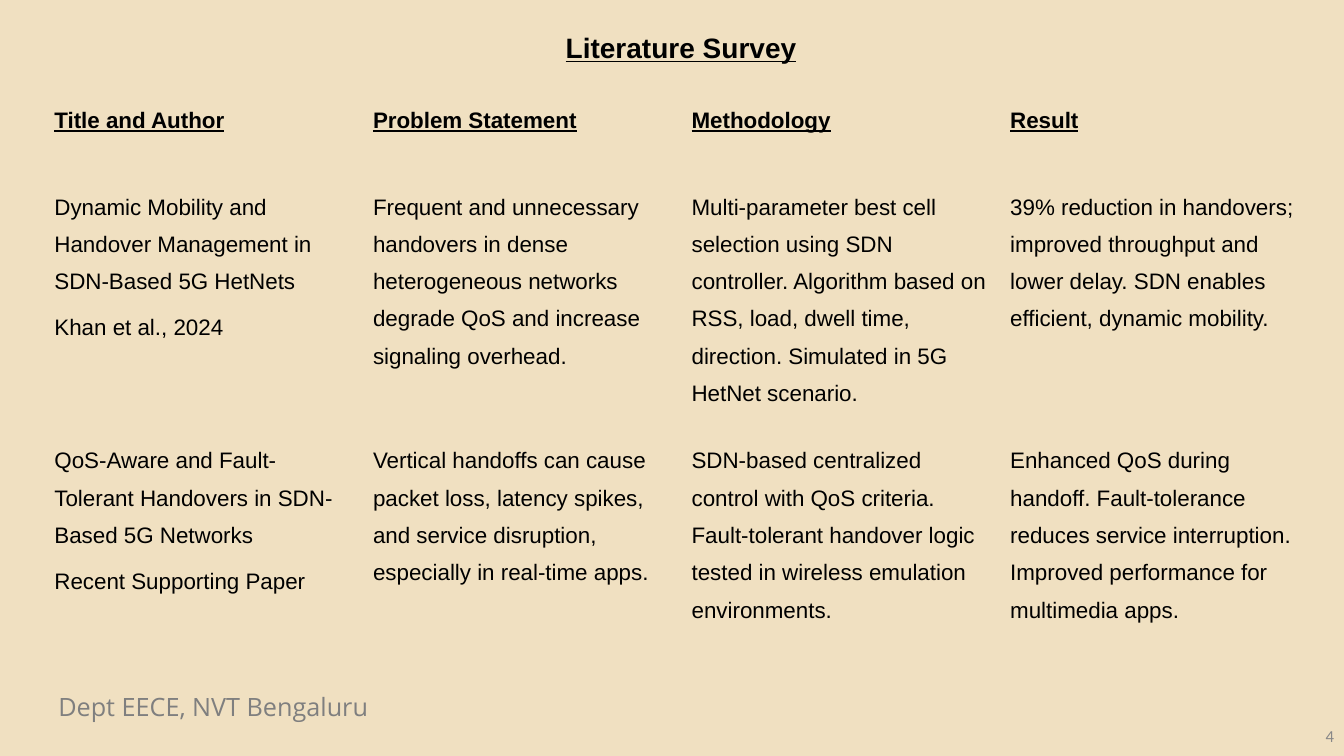
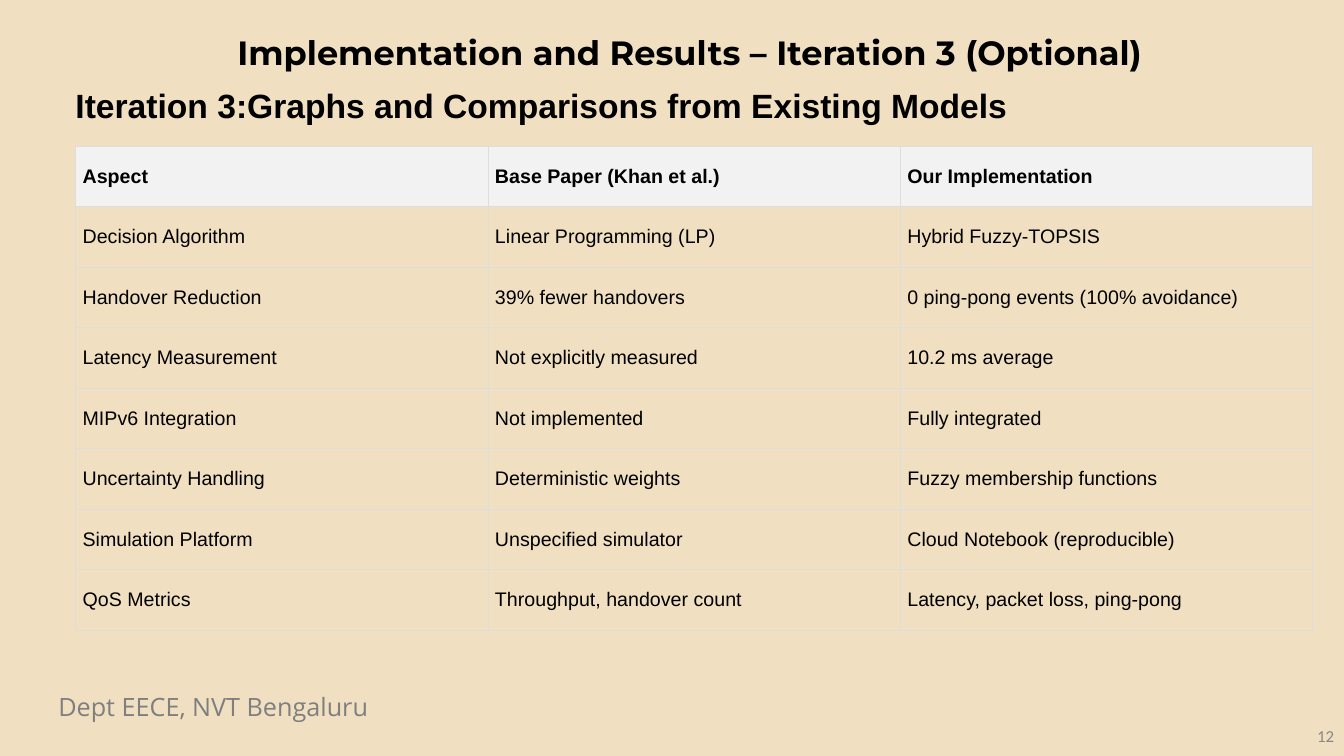
from lxml.etree import SubElement
from pptx import Presentation
from pptx.dml.color import RGBColor
from pptx.enum.text import MSO_ANCHOR as Anchor, MSO_AUTO_SIZE as AutoSize, PP_ALIGN as Align
from pptx.oxml.ns import qn
from pptx.util import Inches, Pt

COLORS = {
    "background": "F0E0C1",
    "text": "000000",
    "footer": "7F7F7F",
    "number": "888888",
    "header": "F2F2F2",
    "border": "DDDDDD",
}
BODY_FONT = "Arial"
PLAIN_TABLE_STYLE = "{2D5ABB26-0587-4C30-8999-92F81FD0307C}"
FOOTER_TEXT = "Dept EECE, NVT Bengaluru"

FOOTER = {"name": "Open Sans", "size": Pt(18)}
NUMBER = {"name": "Calibri", "size": Pt(12)}
SURVEY_TITLE = {"name": BODY_FONT, "size": Pt(20), "bold": True, "underline": True}
RESULTS_TITLE = {"name": "Montserrat", "size": Pt(24), "bold": True}
SUBTITLE = {"name": BODY_FONT, "size": Pt(24), "bold": True}

SURVEY_TABLE = {
    "size": Pt(16),
    "underline_header": True,
    "margins": (0.11, 0.06),
    "anchor": Anchor.TOP,
    "paragraph": {"line_spacing": 1.5, "space_after": Pt(6)},
    "header_fill": None,
    "border": None,
}
RESULTS_TABLE = {
    "size": Pt(14),
    "underline_header": False,
    "margins": (0.07, 0.07),
    "anchor": Anchor.MIDDLE,
    "paragraph": {},
    "header_fill": "header",
    "border": "border",
}

SURVEY_ROWS = [
    ["Title and Author", "Problem Statement", "Methodology", "Result"],
    [
        "Dynamic Mobility and Handover Management in SDN-Based 5G HetNets\nKhan et al., 2024",
        "Frequent and unnecessary handovers in dense heterogeneous networks degrade QoS "
        "and increase signaling overhead.",
        "Multi-parameter best cell selection using SDN controller. Algorithm based on RSS, "
        "load, dwell time, direction. Simulated in 5G HetNet scenario.",
        "39% reduction in handovers; improved throughput and lower delay. SDN enables "
        "efficient, dynamic mobility.",
    ],
    [
        "QoS-Aware and Fault-Tolerant Handovers in SDN-Based 5G Networks\nRecent Supporting Paper",
        "Vertical handoffs can cause packet loss, latency spikes, and service disruption, "
        "especially in real-time apps.",
        "SDN-based centralized control with QoS criteria. Fault-tolerant handover logic "
        "tested in wireless emulation environments.",
        "Enhanced QoS during handoff. Fault-tolerance reduces service interruption. "
        "Improved performance for multimedia apps.",
    ],
]
RESULTS_ROWS = [
    ["Aspect", "Base Paper (Khan et al.)", "Our Implementation"],
    ["Decision Algorithm", "Linear Programming (LP)", "Hybrid Fuzzy-TOPSIS"],
    ["Handover Reduction", "39% fewer handovers", "0 ping-pong events (100% avoidance)"],
    ["Latency Measurement", "Not explicitly measured", "10.2 ms average"],
    ["MIPv6 Integration", "Not implemented", "Fully integrated"],
    ["Uncertainty Handling", "Deterministic weights", "Fuzzy membership functions"],
    ["Simulation Platform", "Unspecified simulator", "Cloud Notebook (reproducible)"],
    ["QoS Metrics", "Throughput, handover count", "Latency, packet loss, ping-pong"],
]


def set_attributes(target, values):
    for name, value in values.items():
        setattr(target, name, value)


def write_text(frame, text, font, color="text", paragraph_format=None):
    frame.text = text
    for paragraph in frame.paragraphs:
        set_attributes(paragraph, paragraph_format or {})
        for run in paragraph.runs:
            set_attributes(run.font, font)
            run.font.color.rgb = RGBColor.from_string(COLORS[color])


def place(shape, box):
    names = ("left", "top", "width", "height")
    set_attributes(shape, {name: Inches(value) for name, value in zip(names, box)})


def add_title(slide, text, box, font):
    title = slide.shapes.title
    place(title, box)
    set_attributes(title.text_frame, {
        "word_wrap": True, "auto_size": AutoSize.NONE, "vertical_anchor": Anchor.MIDDLE,
    })
    write_text(title.text_frame, text, font, paragraph_format={"alignment": Align.CENTER})


def add_text(slide, text, box, font, color="text", align=Align.LEFT, anchor=Anchor.TOP):
    shape = slide.shapes.add_textbox(*map(Inches, box))
    set_attributes(shape.text_frame, {"word_wrap": True, "vertical_anchor": anchor})
    write_text(shape.text_frame, text, font, color, {"alignment": align})


def add_borders(cell, color):
    properties = cell._tc.get_or_add_tcPr()
    for index, side in enumerate(("a:lnL", "a:lnR", "a:lnT", "a:lnB")):
        line = SubElement(properties, qn(side), w=str(Pt(0.6)))
        fill = SubElement(line, qn("a:solidFill"))
        SubElement(fill, qn("a:srgbClr"), val=COLORS[color])
        properties.insert(index, line)


def format_cell(cell, text, is_header, style):
    horizontal, vertical = map(Inches, style["margins"])
    set_attributes(cell, {
        "margin_left": horizontal, "margin_right": horizontal,
        "margin_top": vertical, "margin_bottom": vertical,
        "vertical_anchor": style["anchor"],
    })
    font = {
        "name": BODY_FONT, "size": style["size"], "bold": is_header,
        "underline": is_header and style["underline_header"],
    }
    write_text(cell.text_frame, text, font, paragraph_format=style["paragraph"])
    if is_header and style["header_fill"]:
        cell.fill.solid()
        cell.fill.fore_color.rgb = RGBColor.from_string(COLORS[style["header_fill"]])
    else:
        cell.fill.background()
    if style["border"]:
        add_borders(cell, style["border"])


def add_table(slide, rows, left, top, column_width, row_heights, style):
    columns = len(rows[0])
    box = (left, top, column_width * columns, sum(row_heights))
    table = slide.shapes.add_table(len(rows), columns, *map(Inches, box)).table
    set_attributes(table, {"first_row": False, "horz_banding": False})
    table._tbl.tblPr.find(qn("a:tableStyleId")).text = PLAIN_TABLE_STYLE
    for column in table.columns:
        column.width = Inches(column_width)
    for row_index, (texts, height) in enumerate(zip(rows, row_heights)):
        table.rows[row_index].height = Inches(height)
        for column_index, text in enumerate(texts):
            format_cell(table.cell(row_index, column_index), text, row_index == 0, style)


def add_slide(presentation, number):
    slide = presentation.slides.add_slide(presentation.slide_layouts.get_by_name("Title Only"))
    add_text(slide, FOOTER_TEXT, (0.48, 6.81, 5.24, 0.4), FOOTER, "footer")
    add_text(slide, str(number), (10.33, 7.1, 3, 0.4), NUMBER, "number", Align.RIGHT, Anchor.MIDDLE)
    return slide


def add_survey_slide(presentation):
    slide = add_slide(presentation, 4)
    add_title(slide, "Literature Survey", (0.43, 0.25, 12.65, 0.44), SURVEY_TITLE)
    add_table(slide, SURVEY_ROWS, 0.43, 0.89, 3.16, (0.86, 2.32, 2.32), SURVEY_TABLE)


def add_results_slide(presentation):
    slide = add_slide(presentation, 12)
    add_title(slide, "Implementation and Results – Iteration 3 (Optional)",
              (1.09, 0.25, 11.5, 0.54), RESULTS_TITLE)
    add_text(slide, "Iteration 3:Graphs and Comparisons from Existing Models",
             (0.65, 0.79, 12.39, 0.6), SUBTITLE)
    add_table(slide, RESULTS_ROWS, 0.75, 1.45, 4.09, [0.6] * len(RESULTS_ROWS), RESULTS_TABLE)


def main():
    presentation = Presentation()
    set_attributes(presentation, {"slide_width": Inches(13.33), "slide_height": Inches(7.5)})
    background = presentation.slide_master.background.fill
    background.solid()
    background.fore_color.rgb = RGBColor.from_string(COLORS["background"])
    add_survey_slide(presentation)
    add_results_slide(presentation)
    presentation.save("out.pptx")


if __name__ == "__main__":
    main()
